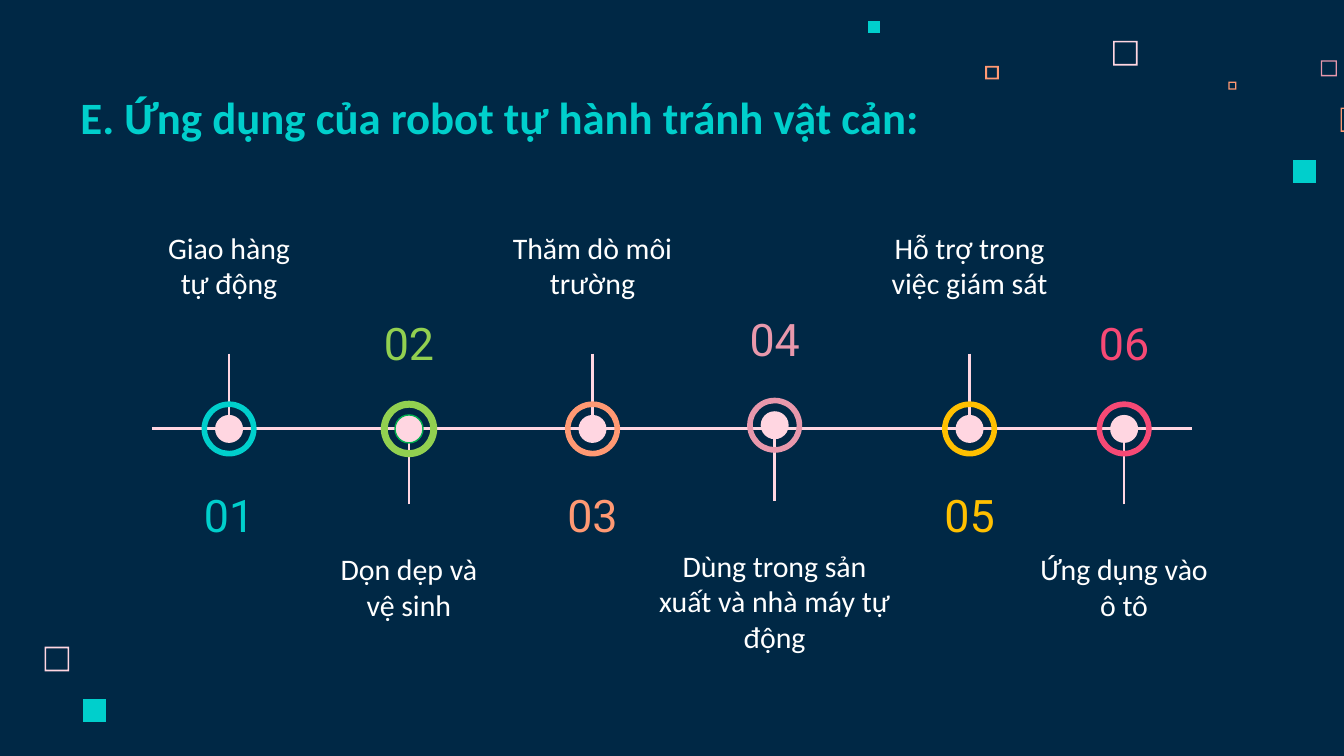
from lxml import etree
from pptx import Presentation
from pptx.dml.color import RGBColor
from pptx.enum import shapes, text
from pptx.oxml import ns
from pptx.util import Pt

NAVY = RGBColor(0x00, 0x28, 0x45)
TEAL = RGBColor(0x00, 0xCF, 0xCC)
BLUSH = RGBColor(0xFF, 0xD6, 0xE1)
ROSE = RGBColor(0xE8, 0x98, 0xAC)
CORAL = RGBColor(0xFF, 0x99, 0x73)
LIME = RGBColor(0x92, 0xD0, 0x50)
GREEN = RGBColor(0x00, 0xB0, 0x50)
GOLD = RGBColor(0xFF, 0xC0, 0x00)
RED = RGBColor(0xF6, 0x49, 0x75)
WHITE = RGBColor(0xFF, 0xFF, 0xFF)

TITLE = "E. Ứng dụng của robot tự hành tránh vật cản:"

# label, colour, centre x, label width, vertical shift, (dot outline, ring outline)
STEPS = [
    ("Giao hàng tự động", TEAL, 122.7, 95, 0, None),
    ("Dọn dẹp và vệ sinh", LIME, 219.1, 91.5, 0, (GREEN, LIME)),
    ("Thăm dò môi trường", CORAL, 317.4, 101.5, 0, None),
    ("Dùng trong sản xuất và nhà máy tự động", ROSE, 415, 138, -2, None),
    ("Hỗ trợ trong việc giám sát", GOLD, 519.4, 115, 0, None),
    ("Ứng dụng vào ô tô", RED, 602.2, 108, 0, None),
]

# left, top, side, border (None for a solid square), colour
SQUARES = [
    (596.3, 21.9, 13.2, 0.9, BLUSH),
    (707.6, 32.3, 8.6, 0.7, ROSE),
    (658.1, 43.8, 4.3, 0.7, CORAL),
    (718.2, 57.6, 13, 0.7, CORAL),
    (692.6, 85.7, 12.4, None, TEAL),
    (527.8, 35.3, 7.3, 1, CORAL),
    (464.9, 11.3, 6.5, None, TEAL),
    (23.9, 346.5, 13.2, 0.9, BLUSH),
    (44.4, 374.4, 12.4, None, TEAL),
]

AXIS_Y = 229.8
AXIS_ENDS = (81.4, 638.6)
STEM_NEAR, STEM_FAR = 4.6, 40.4
DOT, RING = 15, 29.5
LABEL_HEIGHT = 51
NUMBER_WIDTH, NUMBER_HEIGHT = 101.5, 34

deck = Presentation()
deck.slide_width, deck.slide_height = Pt(720), Pt(405)
page = deck.slides.add_slide(deck.slide_layouts[6])
page.background.fill.solid()
page.background.fill.fore_color.rgb = NAVY


def paint(shape, fill, outline=None):
    shape.shadow.inherit = False
    shape.fill.solid()
    shape.fill.fore_color.rgb = fill
    if outline is None:
        shape.line.fill.background()
    else:
        shape.line.color.rgb = outline
        shape.line.width = Pt(0.75)


def add_square(left, top, side, border, colour):
    def corners(inset):
        near, far = inset, side - inset
        offsets = [(near, near), (near, far), (far, far), (far, near)]
        return [(Pt(left + x), Pt(top + y)) for x, y in offsets]

    outer = corners(0)
    builder = page.shapes.build_freeform(*outer[0], scale=1.0)
    builder.add_line_segments(outer[1:], close=True)
    if border:
        inner = corners(border)[::-1]
        builder.move_to(*inner[0])
        builder.add_line_segments(inner[1:], close=True)
    paint(builder.convert_to_shape(), colour)


def add_line(x1, y1, x2, y2):
    line = page.shapes.add_connector(
        shapes.MSO_CONNECTOR.STRAIGHT, Pt(x1), Pt(y1), Pt(x2), Pt(y2))
    line.line.color.rgb = BLUSH
    line.line.width = Pt(1.5)
    etree.SubElement(line._element.spPr, ns.qn("a:effectLst"))


def add_text(words, left, top, width, height, *, size, font, colour, bold=False,
             align=text.PP_ALIGN.CENTER, anchor=text.MSO_ANCHOR.MIDDLE):
    box = page.shapes.add_textbox(Pt(left), Pt(top), Pt(width), Pt(height))
    frame = box.text_frame
    frame.word_wrap = True
    frame.vertical_anchor = anchor
    frame.margin_left = frame.margin_right = Pt(7.2)
    frame.margin_top = frame.margin_bottom = Pt(7.2)
    para = frame.paragraphs[0]
    para.alignment = align
    span = para.add_run()
    span.text = words
    span.font.size = Pt(size)
    span.font.name = font
    span.font.bold = bold
    span.font.color.rgb = colour


def add_marker(x, y, colour, outlines):
    """Group a dot and the ring around it, centred on a point."""
    group = page.shapes.add_group_shape()
    dot_line, ring_line = outlines or (None, None)
    for kind, size, fill, outline in [
            (shapes.MSO_SHAPE.OVAL, DOT, BLUSH, dot_line),
            (shapes.MSO_SHAPE.DONUT, RING, colour, ring_line)]:
        part = group.shapes.add_shape(
            kind, Pt(x - size / 2), Pt(y - size / 2), Pt(size), Pt(size))
        paint(part, fill, outline)
    part.adjustments[0] = 0.102


for square in SQUARES:
    add_square(*square)

add_text(TITLE, 36, 39.6, 613.4, 46, size=24, font="Calibri", colour=TEAL,
         bold=True, align=text.PP_ALIGN.LEFT)
add_line(AXIS_ENDS[0], AXIS_Y, AXIS_ENDS[1], AXIS_Y)

for number, (label, colour, x, width, shift, outlines) in enumerate(STEPS, 1):
    y = AXIS_Y + shift
    above = number % 2 == 1
    side = -1 if above else 1
    add_line(x, y + side * STEM_FAR, x, y + side * STEM_NEAR)
    add_marker(x, y, colour, outlines)
    add_text(label, x - width / 2, y + (-112.4 if above else 58.2), width, LABEL_HEIGHT,
             size=16, font="Calibri", colour=WHITE,
             anchor=text.MSO_ANCHOR.BOTTOM if above else text.MSO_ANCHOR.TOP)
    add_text(f"{number:02}", x - NUMBER_WIDTH / 2, y + (28.7 if above else -63.4),
             NUMBER_WIDTH, NUMBER_HEIGHT, size=24, font="Roboto", colour=colour)

deck.save("out.pptx")
